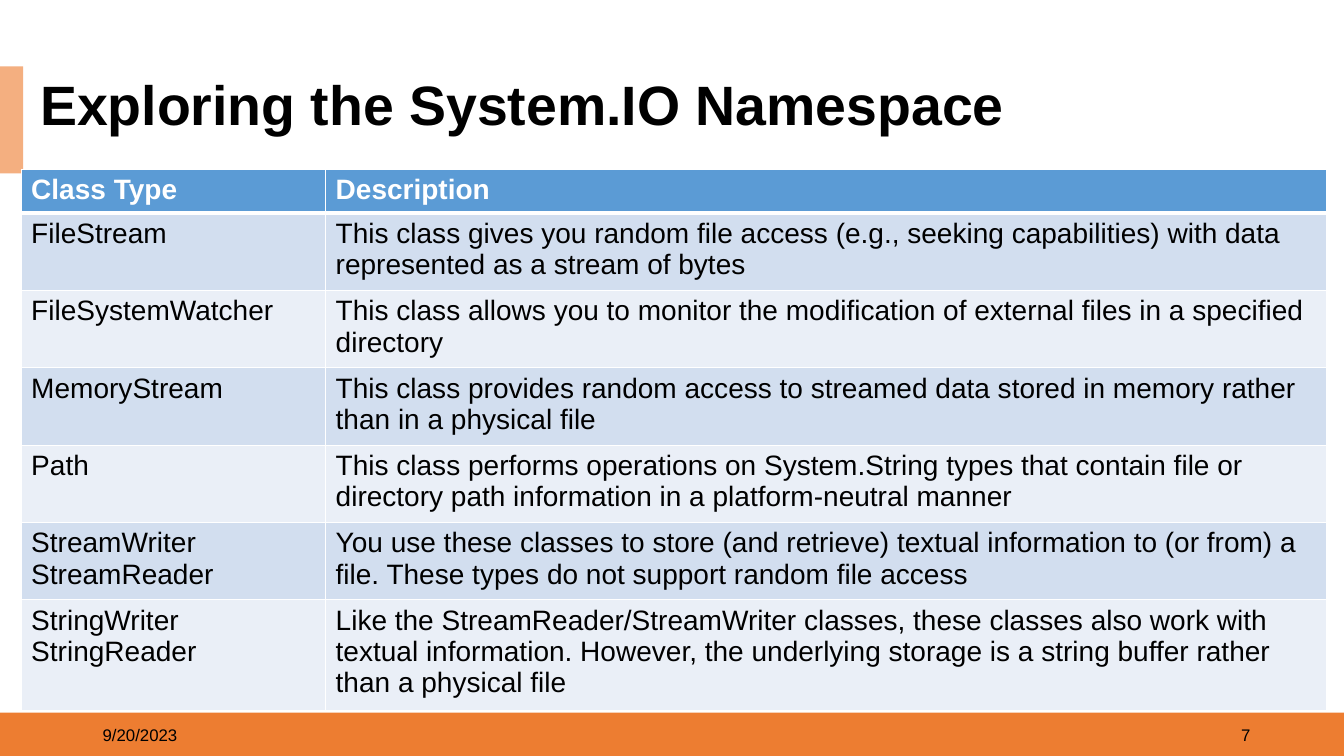
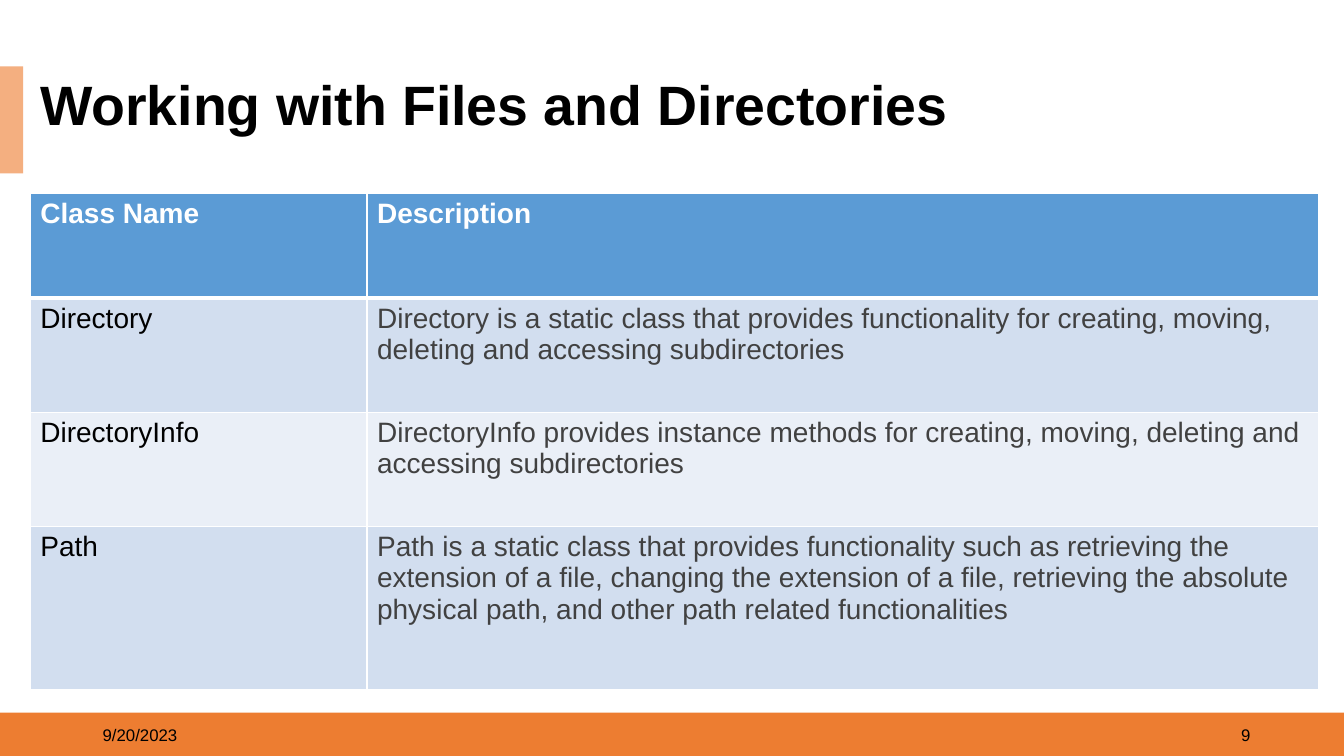
from lxml import etree
from pptx import Presentation
from pptx.dml.color import RGBColor
from pptx.enum.shapes import MSO_SHAPE
from pptx.enum.text import MSO_ANCHOR, PP_ALIGN
from pptx.oxml.ns import qn
from pptx.util import Inches, Pt

FONT = "Arial"
COLORS = {
    "footer": "ED7D31", "accent": "F4AF80", "header": "5B9BD5",
    "band_dark": "D2DEEF", "band_light": "EAEFF7",
    "white": "FFFFFF", "black": "000000", "gray": "414141",
}
DATE = "9/20/2023"

# Content: the first row of each table is its header
SLIDES = [
    {
        "title": "Exploring the System.IO Namespace", "title_width": 10.27, "number": "7",
        "table_at": (0.21, 1.68), "columns": (3.02, 9.93),
        "heights": (0.41, 0.72, 0.72, 0.72, 0.72, 0.72, 1.03),
        "description_color": "black",
        "rows": [
            ("Class Type", "Description"),
            ("FileStream", "This class gives you random file access (e.g., seeking "
             "capabilities) with data represented as a stream of bytes"),
            ("FileSystemWatcher", "This class allows you to monitor the modification of "
             "external files in a specified directory"),
            ("MemoryStream", "This class provides random access to streamed data stored "
             "in memory rather than in a physical file"),
            ("Path", "This class performs operations on System.String types that contain "
             "file or directory path information in a platform-neutral manner"),
            ("StreamWriter StreamReader", "You use these classes to store (and retrieve) "
             "textual information to (or from) a file. These types do not support random "
             "file access"),
            ("StringWriter\nStringReader", "Like the StreamReader/StreamWriter classes, "
             "these classes also work with textual information. However, the underlying "
             "storage is a string buffer rather than a physical file"),
        ],
    },
    {
        "title": "Working with Files and Directories", "title_width": 9.72, "number": "9",
        "table_at": (0.3, 1.92), "columns": (3.34, 9.44),
        "heights": (1.04, 1.13, 1.13, 1.62),
        "description_color": "gray",
        "rows": [
            ("Class Name", "Description"),
            ("Directory", "Directory is a static class that provides functionality for "
             "creating, moving, deleting and accessing subdirectories"),
            ("DirectoryInfo", "DirectoryInfo provides instance methods for creating, "
             "moving, deleting and accessing subdirectories"),
            ("Path", "Path is a static class that provides functionality such as "
             "retrieving the extension of a file, changing the extension of a file, "
             "retrieving the absolute physical path, and other path related "
             "functionalities"),
        ],
    },
]


def rgb(name):
    return RGBColor.from_string(COLORS[name])


def set_text(tf, text, size, color="black", bold=False, align=PP_ALIGN.LEFT, spacing=None):
    tf.text = text
    for p in tf.paragraphs:
        p.alignment = align
        if spacing:
            p.line_spacing = spacing
        for r in p.runs:
            r.font.name, r.font.size, r.font.bold = FONT, Pt(size), bold
            r.font.color.rgb = rgb(color)


def add_band(s, box, color):
    sp = s.shapes.add_shape(MSO_SHAPE.RECTANGLE, *map(Inches, box))
    sp.shadow.inherit = False
    sp.fill.solid()
    sp.fill.fore_color.rgb = rgb(color)
    sp.line.fill.background()


def add_text(s, box, text, size, **style):
    sp = s.shapes.add_textbox(*map(Inches, box))
    tf = sp.text_frame
    tf.word_wrap = True
    tf.vertical_anchor = MSO_ANCHOR.MIDDLE
    set_text(tf, text, size, **style)
    return sp


def add_frame(s, data):
    """Bands, date, slide number and title shared by all slides."""
    add_band(s, (0, 7.07, 13.33, 0.44), "footer")
    add_band(s, (0, 0.66, 0.23, 1.06), "accent")
    add_text(s, (0.92, 7.09, 3, 0.4), DATE, 12)
    add_text(s, (9.5, 7.09, 3, 0.4), data["number"], 12, align=PP_ALIGN.RIGHT)
    title = add_text(s, (0.3, 0.75, data["title_width"], 0.63), data["title"], 39.6,
                     bold=True, spacing=0.9)
    title.fill.solid()
    title.fill.fore_color.rgb = rgb("white")


def set_borders(cell, top, bottom):
    tc_pr = cell._tc.get_or_add_tcPr()
    for tag, width in (("lnL", 1), ("lnR", 1), ("lnT", top), ("lnB", bottom)):
        ln = etree.SubElement(tc_pr, qn("a:" + tag), w=str(Pt(width)))
        fill = etree.SubElement(ln, qn("a:solidFill"))
        etree.SubElement(fill, qn("a:srgbClr"), val=COLORS["white"])


def add_class_table(s, data):
    rows, columns, heights = data["rows"], data["columns"], data["heights"]
    box = (*data["table_at"], sum(columns), sum(heights))
    table = s.shapes.add_table(len(rows), len(columns), *map(Inches, box)).table
    for column, width in zip(table.columns, columns):
        column.width = Inches(width)
    for i, (row, height, texts) in enumerate(zip(table.rows, heights, rows)):
        row.height = Inches(height)
        header = i == 0
        fill = "header" if header else "band_dark" if i % 2 else "band_light"
        text_colors = ("white", "white") if header else ("black", data["description_color"])
        for cell, text, color in zip(row.cells, texts, text_colors):
            set_text(cell.text_frame, text, 20, color=color, bold=header)
            # Borders come before the fill in the cell properties
            set_borders(cell, top=3 if i == 1 else 1, bottom=3 if header else 1)
            cell.fill.solid()
            cell.fill.fore_color.rgb = rgb(fill)


def main():
    prs = Presentation()
    prs.slide_width, prs.slide_height = Inches(13.33), Inches(7.5)
    for data in SLIDES:
        s = prs.slides.add_slide(prs.slide_layouts[6])
        add_frame(s, data)
        add_class_table(s, data)
    prs.save("out.pptx")


if __name__ == "__main__":
    main()
